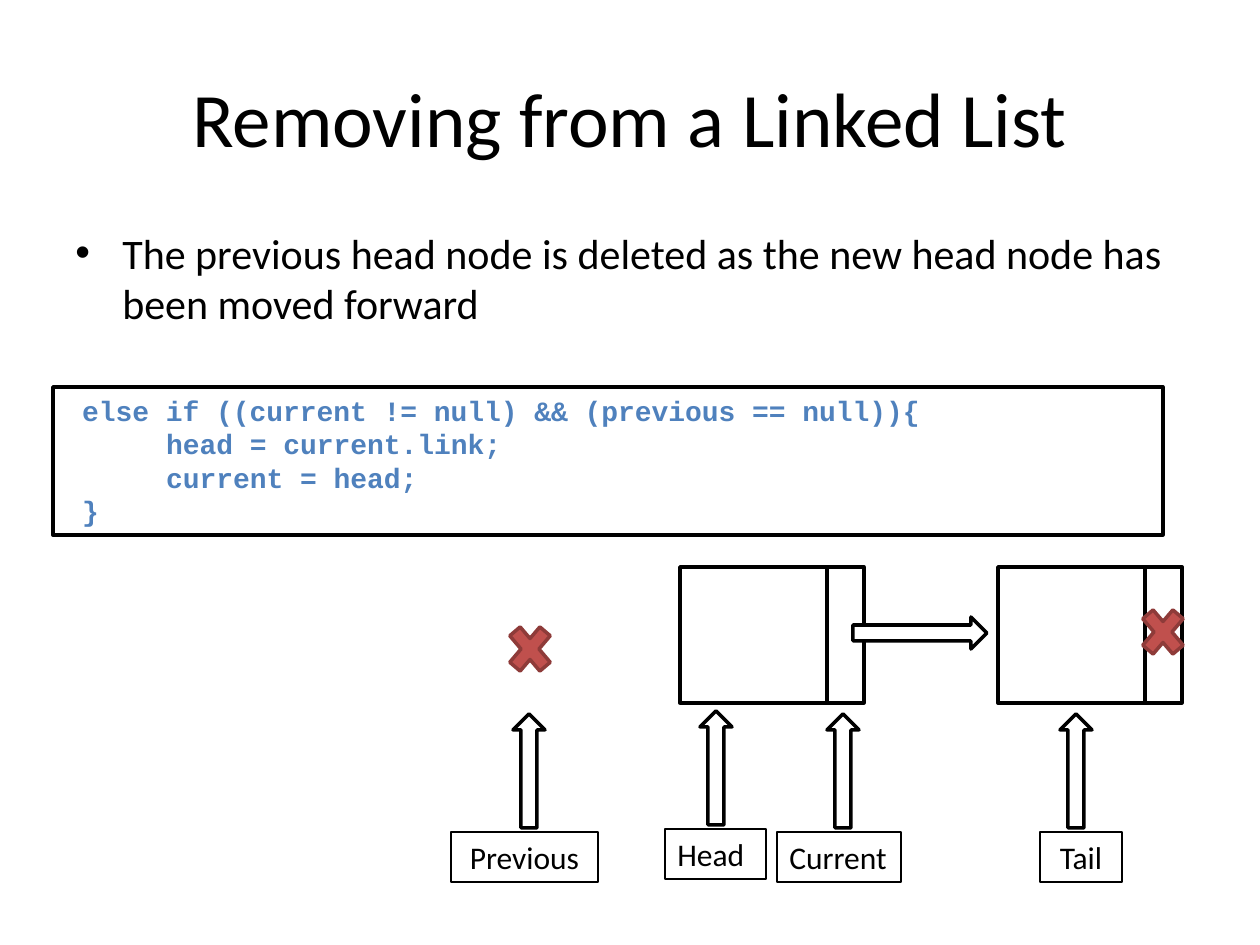
import dataclasses

import lxml.etree
import pptx
import pptx.dml.color
import pptx.enum.shapes
import pptx.enum.text
import pptx.oxml.ns
import pptx.util

SHAPE = pptx.enum.shapes.MSO_SHAPE
ALIGN = pptx.enum.text.PP_ALIGN
ANCHOR = pptx.enum.text.MSO_ANCHOR
BLACK, WHITE, BLUE = "000000", "FFFFFF", "4F81BD"
RED, DARK_RED = "C0504D", "8E3B39"


@dataclasses.dataclass
class Node:
    x: int
    y: int = 567


@dataclasses.dataclass
class Pointer:
    text: str
    x: int
    y: int
    w: int
    arrow_x: int
    align: ALIGN = ALIGN.CENTER


NODES = [Node(680), Node(998)]
POINTERS = [
    Pointer("Head", 665, 829, 101, 716, ALIGN.LEFT),
    Pointer("Current", 777, 832, 124, 843, ALIGN.LEFT),
    Pointer("Tail", 1040, 832, 82, 1076),
    Pointer("Previous", 451, 832, 147, 529),
]
CROSSES = [(1134, 598), (501, 615)]
# Each code line with its indent in characters
CODE = [
    ("else if ((current != null) && (previous == null)){", 1),
    ("head = current.link;", 6),
    ("current = head;", 6),
    ("}", 1),
]
CODE_CHAR = 16.8


def px(n: float) -> pptx.util.Emu:
    return pptx.util.Emu(round(n * 914400 / 126))


def rgb(color: str) -> pptx.dml.color.RGBColor:
    return pptx.dml.color.RGBColor.from_string(color)


def apply(obj, values: dict) -> None:
    for name, value in values.items():
        setattr(obj, name, value)


def add_shape(s, kind, x: int, y: int, w: int, h: int,
              fill: str | None = WHITE, line: str = BLACK, width: float = 2):
    sp = s.shapes.add_shape(kind, px(x), px(y), px(w), px(h))
    sp.shadow.inherit = False
    if fill:
        sp.fill.solid()
        sp.fill.fore_color.rgb = rgb(fill)
    else:
        sp.fill.background()
    sp.line.color.rgb = rgb(line)
    sp.line.width = pptx.util.Pt(width)
    return sp


def add_run(p, text: str, size: int, font: str = "Calibri",
            color: str = BLACK, bold: bool = False) -> None:
    r = p.add_run()
    r.text = text
    apply(r.font, {"size": pptx.util.Pt(size), "name": font, "bold": bold})
    r.font.color.rgb = rgb(color)


def set_indent(p, left: float, first: float = 0) -> None:
    pPr = p._p.get_or_add_pPr()
    pPr.set("marL", str(px(left)))
    pPr.set("indent", str(px(first)))


def add_text(s, x: int, y: int, w: int, h: int, anchor: ANCHOR):
    tf = s.shapes.add_textbox(px(x), px(y), px(w), px(h)).text_frame
    apply(tf, {"word_wrap": True, "vertical_anchor": anchor})
    return tf.paragraphs[0]


def add_node(s, node: Node) -> None:
    for dx, w in ((0, 147), (147, 37)):
        add_shape(s, SHAPE.RECTANGLE, node.x + dx, node.y, w, 136)


def add_pointer(s, ptr: Pointer) -> None:
    add_shape(s, SHAPE.UP_ARROW, ptr.arrow_x - 16, ptr.y - 118, 32, 114)
    sp = add_shape(s, SHAPE.RECTANGLE, ptr.x, ptr.y, ptr.w, 50, None, BLACK, 0.75)
    tf = sp.text_frame
    apply(tf, {"word_wrap": True, "vertical_anchor": ANCHOR.TOP})
    if ptr.align == ALIGN.LEFT:
        tf.margin_right = 0
    tf.paragraphs[0].alignment = ptr.align
    add_run(tf.paragraphs[0], ptr.text, 18)


def add_code(s) -> None:
    sp = add_shape(s, SHAPE.RECTANGLE, 53, 387, 1110, 148)
    tf = sp.text_frame
    apply(tf, {"word_wrap": True, "vertical_anchor": ANCHOR.TOP})
    for i, (text, chars) in enumerate(CODE):
        p = tf.add_paragraph() if i else tf.paragraphs[0]
        p.alignment = ALIGN.LEFT
        set_indent(p, chars * CODE_CHAR)
        add_run(p, text, 16, "Courier New", BLUE, True)


def main() -> None:
    prs = pptx.Presentation()
    apply(prs, {"slide_width": px(1260), "slide_height": px(945)})
    s = prs.slides.add_slide(prs.slide_layouts[6])

    # Title
    p = add_text(s, 63, 38, 1134, 158, ANCHOR.MIDDLE)
    p.alignment = ALIGN.CENTER
    add_run(p, "Removing from a Linked List", 44)

    # Bullet
    p = add_text(s, 63, 221, 1134, 624, ANCHOR.TOP)
    p.space_before = pptx.util.Pt(4.8)
    set_indent(p, 47, -47)
    pPr = p._p.get_or_add_pPr()
    qn = pptx.oxml.ns.qn
    lxml.etree.SubElement(pPr, qn("a:buFont"), typeface="Arial")
    lxml.etree.SubElement(pPr, qn("a:buChar"), char="•")
    add_run(p, "The previous head node is deleted as the new head node "
               "has been moved forward", 24)

    # Linked nodes
    for node in NODES:
        add_node(s, node)
    add_shape(s, SHAPE.RIGHT_ARROW, 853, 617, 134, 32)

    # Pointers, code and null marks
    for ptr in POINTERS:
        add_pointer(s, ptr)
    add_code(s)
    for x, y in CROSSES:
        add_shape(s, SHAPE.MATH_MULTIPLY, x, y, 58, 68, RED, DARK_RED)

    prs.save("out.pptx")


if __name__ == "__main__":
    main()
